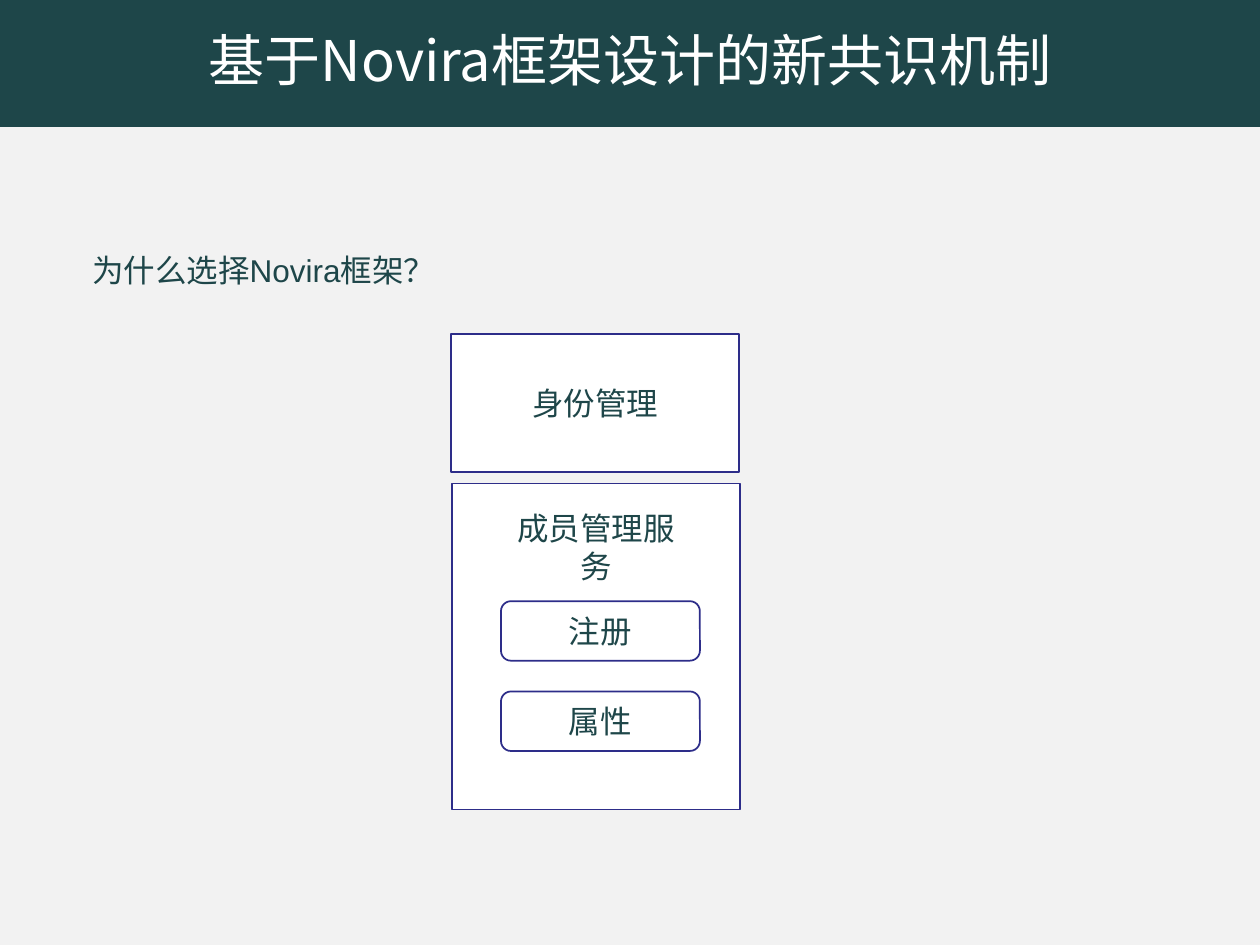
from dataclasses import dataclass

from lxml.etree import SubElement
from pptx import Presentation
from pptx.dml.color import RGBColor
from pptx.enum.shapes import MSO_SHAPE
from pptx.enum.text import MSO_ANCHOR, PP_ALIGN
from pptx.oxml.ns import qn
from pptx.util import Cm, Pt


@dataclass(frozen=True)
class Theme:
    back: RGBColor = RGBColor(0xF2, 0xF2, 0xF2)
    dark: RGBColor = RGBColor(0x1E, 0x46, 0x49)
    edge: RGBColor = RGBColor(0x2D, 0x2D, 0x89)
    white: RGBColor = RGBColor(0xFF, 0xFF, 0xFF)
    head: int = 32
    body: int = 18
    font: str = "Arial"
    han: str = "Noto Sans CJK SC"


THEME = Theme()


def write(frame, text, size=THEME.body, color=THEME.dark, font=THEME.font,
          align=PP_ALIGN.CENTER, anchor=MSO_ANCHOR.MIDDLE, wrap=True):
    """Fill a text frame with one formatted line."""
    frame.word_wrap = wrap
    frame.vertical_anchor = anchor
    para = frame.paragraphs[0]
    para.alignment = align
    run = para.add_run()
    run.text = text
    run.font.size = Pt(size)
    run.font.color.rgb = color
    run.font.name = font
    # East Asian typeface
    SubElement(run.font._element, qn("a:ea"), typeface=THEME.han)


def add_box(slide, area, text="", kind=MSO_SHAPE.RECTANGLE,
            fill=THEME.white, edge=THEME.edge, **style):
    """Add a filled shape, with an outline and text where given."""
    box = slide.shapes.add_shape(kind, *map(Cm, area))
    box.shadow.inherit = False
    box.fill.solid()
    box.fill.fore_color.rgb = fill
    if edge is None:
        box.line.fill.background()
    else:
        box.line.color.rgb = edge
        box.line.width = Pt(1)
    if text:
        write(box.text_frame, text, **style)


def add_label(slide, area, text, **style):
    """Add free text that starts at the top of its area."""
    label = slide.shapes.add_textbox(*map(Cm, area))
    write(label.text_frame, text, anchor=MSO_ANCHOR.TOP, **style)


def main():
    deck = Presentation()
    deck.slide_width, deck.slide_height = Cm(25.4), Cm(19.05)
    slide = deck.slides.add_slide(deck.slide_layouts[6])
    slide.background.fill.solid()
    slide.background.fill.fore_color.rgb = THEME.back

    # Question
    add_label(slide, (1.61, 4.93, 7.65, 1.02), "为什么选择Novira框架？",
              align=PP_ALIGN.LEFT, wrap=False)

    # Identity block
    add_box(slide, (9.1, 6.73, 5.8, 2.79), "身份管理")

    # Member service block and its parts
    add_box(slide, (9.12, 9.75, 5.8, 6.57))
    add_label(slide, (10.01, 10.14, 4.01, 1.78), "成员管理服务")
    for row, name in enumerate(("注册", "属性")):
        add_box(slide, (10.1, 12.12 + row * 1.82, 4.01, 1.2), name,
                kind=MSO_SHAPE.ROUNDED_RECTANGLE)

    # Title band
    add_box(slide, (0, -0.18, 25.42, 2.74), "基于Novira框架设计的新共识机制",
            fill=THEME.dark, edge=None, size=THEME.head,
            color=THEME.white, font=THEME.han)

    deck.save("out.pptx")


if __name__ == "__main__":
    main()
